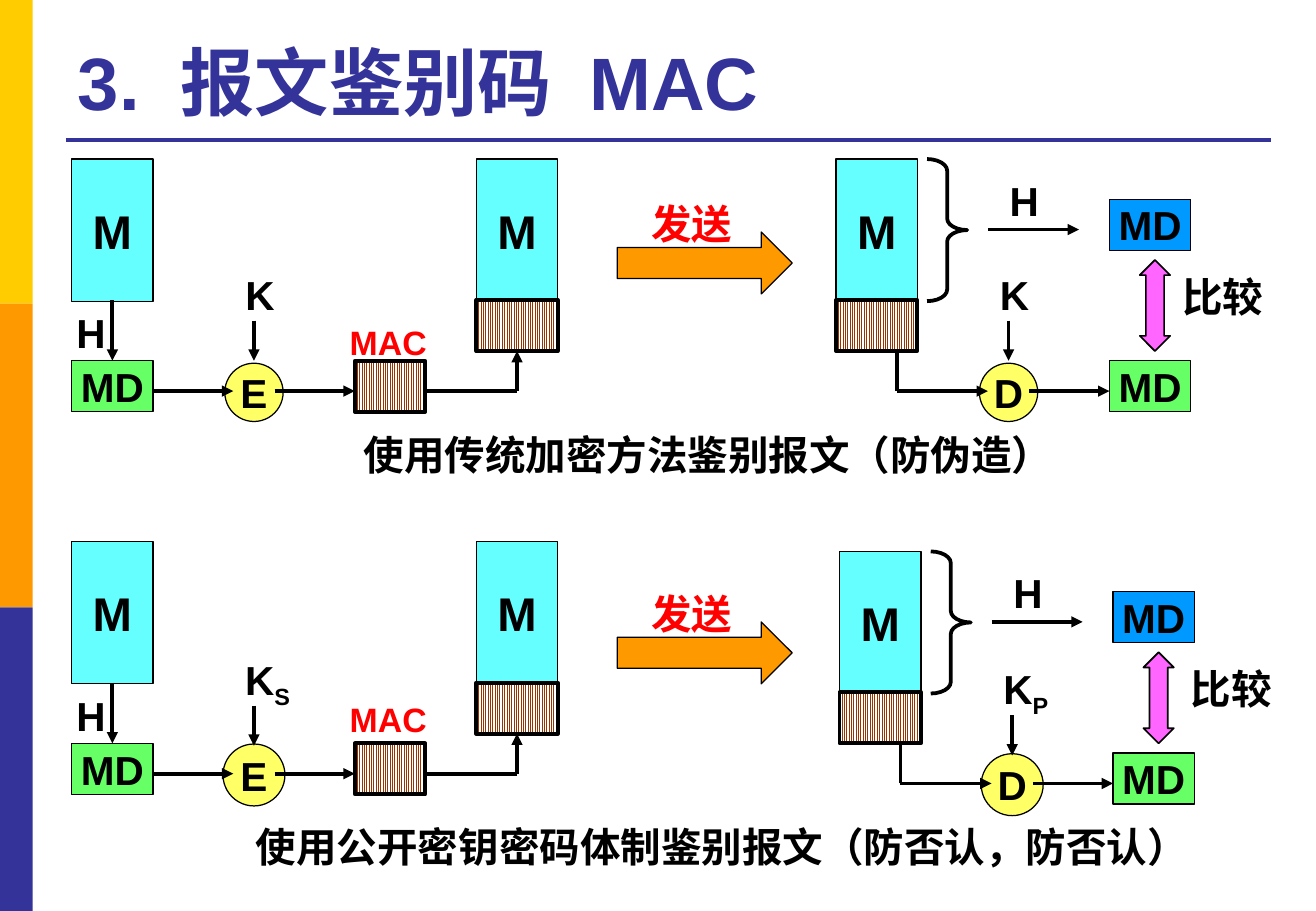
from dataclasses import dataclass

from lxml.etree import SubElement
from pptx import Presentation
from pptx.dml.color import RGBColor
from pptx.enum.dml import MSO_PATTERN
from pptx.enum.shapes import MSO_CONNECTOR, MSO_SHAPE as Shape
from pptx.enum.text import MSO_ANCHOR, MSO_AUTO_SIZE, PP_ALIGN
from pptx.oxml.ns import qn
from pptx.util import Inches, Pt


@dataclass(frozen=True)
class Theme:
    font: str = "Arial"
    black: str = "000000"
    white: str = "FFFFFF"
    red: str = "FF0000"
    navy: str = "333399"
    orange: str = "FF9900"
    gold: str = "FFCC00"
    cyan: str = "66FFFF"
    green: str = "66FF66"
    blue: str = "0099FF"
    yellow: str = "FFFF66"
    pink: str = "FF66FF"
    brown: str = "993300"
    title: float = 44
    message: float = 28
    body: float = 24
    small: float = 20
    thin: float = 0.75
    medium: float = 1
    thick: float = 2.25


@dataclass
class Scheme:
    """One authentication scheme: a sender on the left, a receiver on the right."""
    sender_top: float
    receiver_x: float
    receiver_top: float
    sender_key: str
    receiver_key: str
    key_dy: float
    diameter: float
    mac_y: float
    send_y: float
    compare_x: float
    caption: str
    caption_box: tuple


SCHEMES = (
    Scheme(1.31, 6.88, 1.31, "", "", 0, 0.48, 2.6, 1.91, 9.63,
           "使用传统加密方法鉴别报文（防伪造）", (2.85, 3.49, 5.95, 0.5)),
    Scheme(4.46, 6.91, 4.54, "S", "P", 0.02, 0.51, 5.7, 5.12, 9.7,
           "使用公开密钥密码体制鉴别报文（防否认，防否认）", (1.95, 6.72, 7.98, 0.5)),
)
BLOCK_W, MESSAGE_H, DIGEST_H = 0.67, 1.17, 0.42
CIPHER_DY, DIGEST_DY, FLOW_DY = 1.16, 1.66, 1.91
PORT = 0.17  # distance from a circle's centre to the ends of its flow lines


def rgb(value):
    return RGBColor.from_string(value)


class Canvas:
    def __init__(self, slide, theme):
        self.slide, self.theme = slide, theme

    def style(self, run, size, color):
        run.font.name, run.font.size, run.font.bold = self.theme.font, Pt(size), True
        run.font.color.rgb = rgb(color)

    def title(self, parts, left, top, width, height):
        sp = self.slide.shapes.title
        sp.left, sp.top, sp.width, sp.height = map(Inches, (left, top, width, height))
        tf = sp.text_frame
        tf.auto_size, tf.vertical_anchor = MSO_AUTO_SIZE.NONE, MSO_ANCHOR.BOTTOM
        p = tf.paragraphs[0]
        p.alignment = PP_ALIGN.LEFT
        for part in parts:
            r = p.add_run()
            r.text = part
            self.style(r, self.theme.title, self.theme.navy)
            if part == " ":  # widen the gap between words
                r.font._element.set("spc", "1200")

    def shape(self, kind, left, top, width, height, fill=None, line=None,
              text="", size=None, adjust=()):
        sp = self.slide.shapes.add_shape(kind, *map(Inches, (left, top, width, height)))
        sp.shadow.inherit = False
        for i, value in enumerate(adjust):
            sp.adjustments[i] = value
        if fill:
            sp.fill.solid()
            sp.fill.fore_color.rgb = rgb(fill)
        else:
            sp.fill.background()
        if line:
            sp.line.color.rgb, sp.line.width = rgb(self.theme.black), Pt(line)
        else:
            sp.line.fill.background()
        if text:
            tf = sp.text_frame
            tf.text, tf.word_wrap, tf.vertical_anchor = text, False, MSO_ANCHOR.MIDDLE
            p = tf.paragraphs[0]
            p.alignment = PP_ALIGN.CENTER
            self.style(p.runs[0], size or self.theme.body, self.theme.black)
        return sp

    def message(self, left, top):
        self.shape(Shape.RECTANGLE, left, top, BLOCK_W, MESSAGE_H, self.theme.cyan,
                   self.theme.thin, "M", self.theme.message)

    def digest(self, left, top, fill):
        self.shape(Shape.RECTANGLE, left, top, BLOCK_W, DIGEST_H, fill, self.theme.thin, "MD")

    def mac(self, left, top, width=BLOCK_W):
        """Striped block that stands for the encrypted digest."""
        sp = self.shape(Shape.RECTANGLE, left, top, width, DIGEST_H, line=self.theme.thick)
        sp.fill.patterned()
        sp.fill.pattern = MSO_PATTERN.LIGHT_VERTICAL
        sp.fill.fore_color.rgb = rgb(self.theme.brown)
        sp.fill.back_color.rgb = rgb(self.theme.white)

    def label(self, text, left, top, width=0.45, height=0.51, size=None, color=None,
              align=PP_ALIGN.LEFT, sub=""):
        tf = self.slide.shapes.add_textbox(*map(Inches, (left, top, width, height))).text_frame
        tf.text, tf.word_wrap = text, False
        p = tf.paragraphs[0]
        p.alignment = align
        if sub:
            r = p.add_run()
            r.text = sub
            r.font._element.set("baseline", "-25000")
        for r in p.runs:
            self.style(r, size or self.theme.body, color or self.theme.black)

    def line(self, x1, y1, x2, y2, color=None, arrow=True):
        cx = self.slide.shapes.add_connector(MSO_CONNECTOR.STRAIGHT,
                                             *map(Inches, (x1, y1, x2, y2)))
        cx.line.color.rgb, cx.line.width = rgb(color or self.theme.black), Pt(self.theme.thick)
        if arrow:
            SubElement(cx.line._get_or_add_ln(), qn("a:tailEnd"), type="triangle")
        SubElement(cx._element.spPr, qn("a:effectLst"))

    def keyed_cipher(self, letter, center, top, scheme, sub):
        """Circle with the key that enters it from above."""
        d, dy = scheme.diameter, scheme.key_dy
        self.shape(Shape.OVAL, center - d / 2, top + 1.92 - d / 2, d, d,
                   self.theme.yellow, self.theme.thin, letter)
        self.label("K", center - PORT, top + 0.86 + dy, 0.6 if sub else 0.45, sub=sub)
        self.line(center, top + 1.33 + dy, center, top + DIGEST_DY + dy)

    def sender(self, s):
        left, mac_x, packet_x, center = 0.59, 2.92, 3.92, 2.09
        top, flow, mid = s.sender_top, s.sender_top + FLOW_DY, BLOCK_W / 2
        self.message(left, top)
        self.digest(left, top + DIGEST_DY, self.theme.green)
        self.keyed_cipher("E", center, top, s, s.sender_key)
        self.line(left + mid, top + CIPHER_DY, left + mid, top + DIGEST_DY)
        self.label("H", 0.53, top + 1.18)
        self.line(left + BLOCK_W, flow, center - PORT, flow)
        self.line(center + PORT, flow, mac_x, flow)
        self.mac(mac_x, top + DIGEST_DY, 0.58)
        self.label("MAC", 2.78, s.mac_y, 0.84, 0.44, self.theme.small, self.theme.red)
        self.message(packet_x, top)
        self.mac(packet_x, top + CIPHER_DY)
        self.line(mac_x + 0.58, flow, packet_x + mid, flow, arrow=False)
        self.line(packet_x + mid, flow, packet_x + mid, top + CIPHER_DY + DIGEST_H)

    def receiver(self, s):
        x, top, flow = s.receiver_x, s.receiver_top, s.receiver_top + FLOW_DY
        center, exit_x, digest_x = x + 1.42, x + 0.5, x + 2.25
        self.message(x, top)
        self.mac(x, top + CIPHER_DY)
        self.keyed_cipher("D", center, top, s, s.receiver_key)
        self.digest(digest_x, top + DIGEST_DY, self.theme.green)
        self.digest(digest_x, top + 0.33, self.theme.blue)
        self.line(center + PORT, flow, digest_x, flow)
        self.line(exit_x, flow, center - PORT, flow)
        self.line(exit_x, flow, exit_x, top + CIPHER_DY + DIGEST_H, arrow=False)
        self.shape(Shape.RIGHT_BRACE, x + 0.75, top, 0.33, MESSAGE_H,
                   line=self.theme.thick, adjust=(0.29, 0.5))
        self.label("H", x + 1.33, top + 0.09)
        self.line(x + 1.25, top + 0.58, x + 2, top + 0.58)
        self.shape(Shape.UP_DOWN_ARROW, x + 2.5, top + 0.83, 0.25, 0.75, self.theme.pink,
                   self.theme.medium, adjust=(0.5, 0.6))
        self.label("比较", s.compare_x, top + 0.88, 0.88)

    def scheme(self, s):
        self.sender(s)
        self.shape(Shape.RIGHT_ARROW, 5.08, s.send_y, 1.44, 0.51,
                   self.theme.orange, self.theme.thin)
        self.label("发送", 5.26, s.send_y - 0.32, 0.88, color=self.theme.red)
        self.receiver(s)
        self.label(s.caption, *s.caption_box, align=PP_ALIGN.CENTER)


def main():
    prs = Presentation()
    prs.slide_width, prs.slide_height = Inches(10.83), Inches(7.5)
    theme = Theme()
    canvas = Canvas(prs.slides.add_slide(prs.slide_layouts[5]), theme)
    for i, color in enumerate((theme.gold, theme.orange, theme.navy)):
        canvas.shape(Shape.RECTANGLE, 0, 2.5 * i, 0.27, 2.5, color)
    canvas.line(0.54, 1.15, 10.46, 1.15, theme.navy, arrow=False)
    canvas.title(("3.", " ", "报文鉴别码", " ", "MAC"), 0.54, 0.21, 9.91, 0.87)
    for scheme in SCHEMES:
        canvas.scheme(scheme)
    prs.save("out.pptx")


if __name__ == "__main__":
    main()
